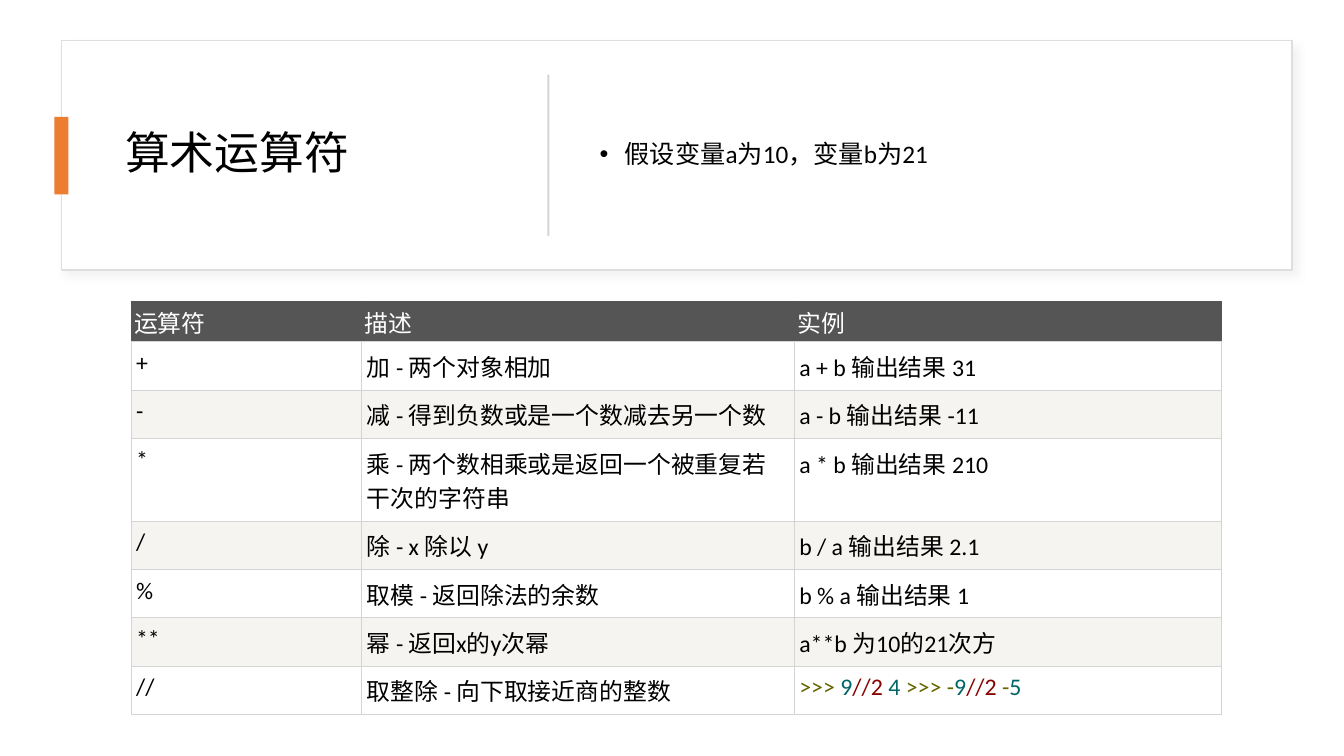
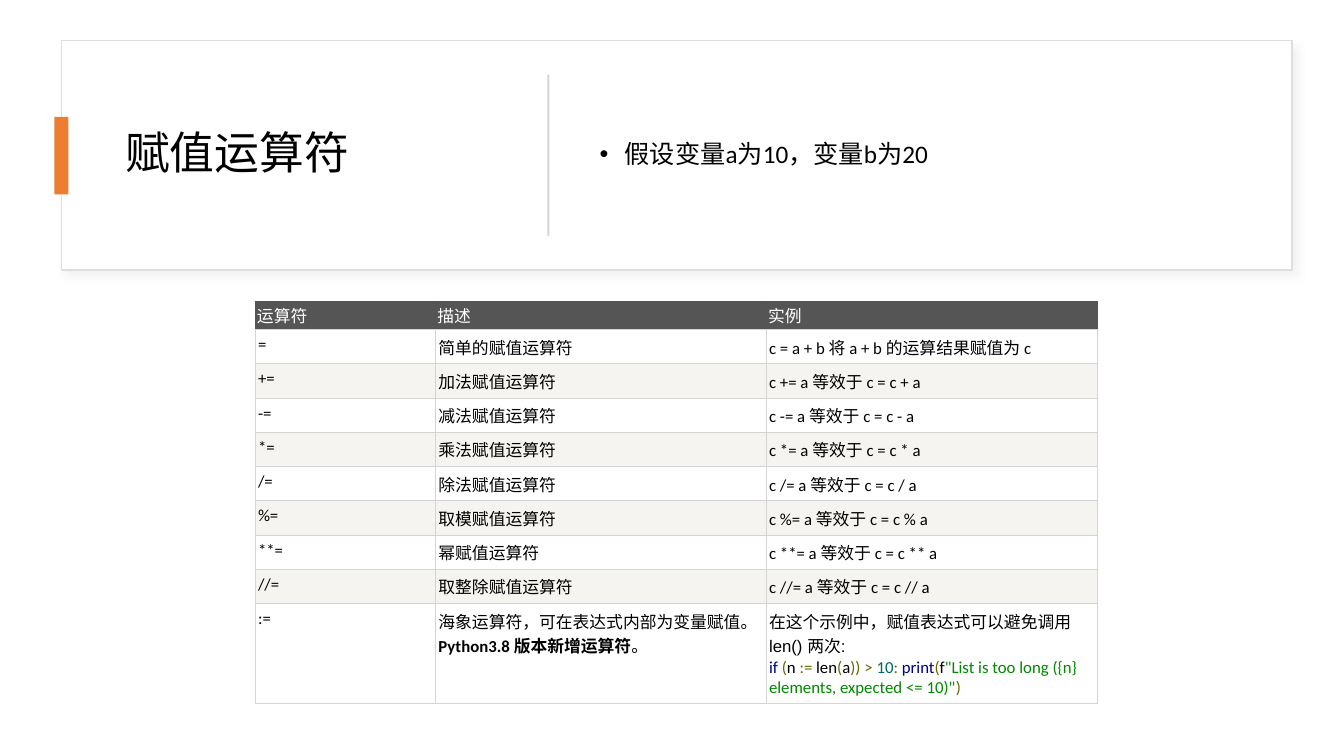
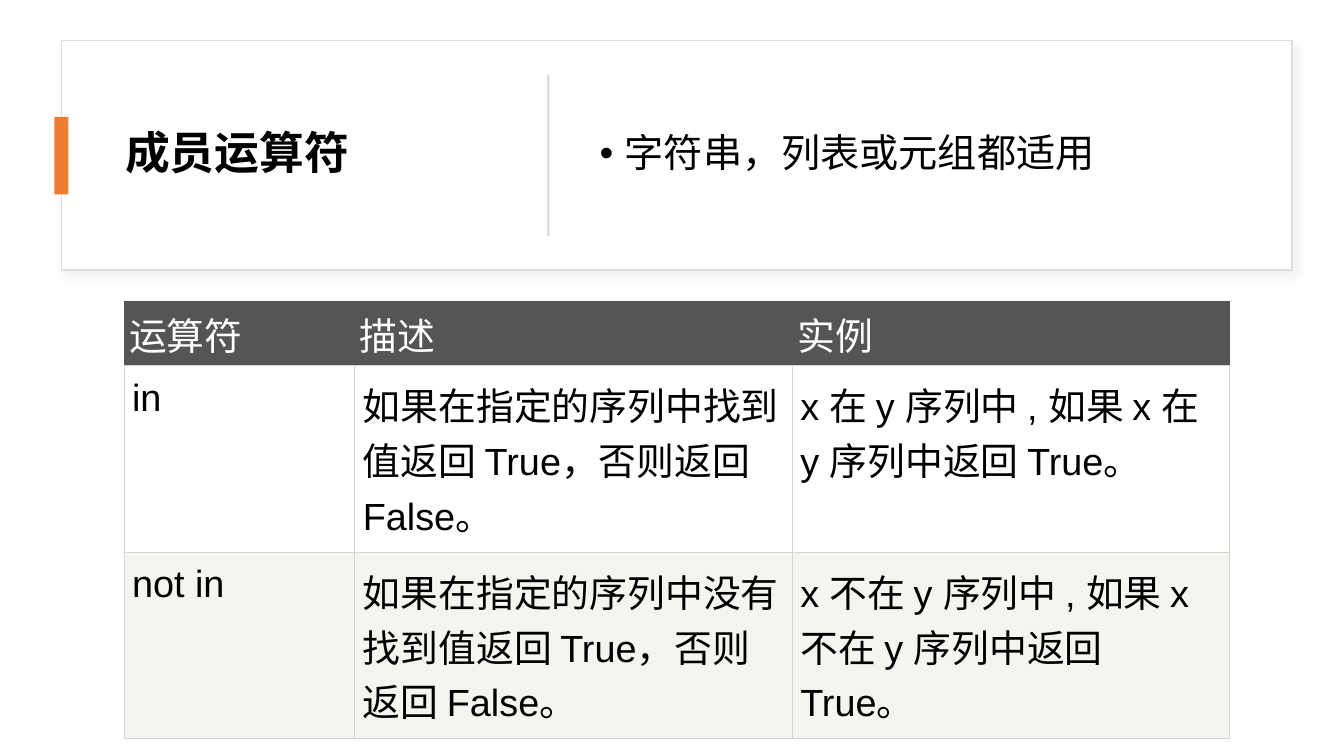
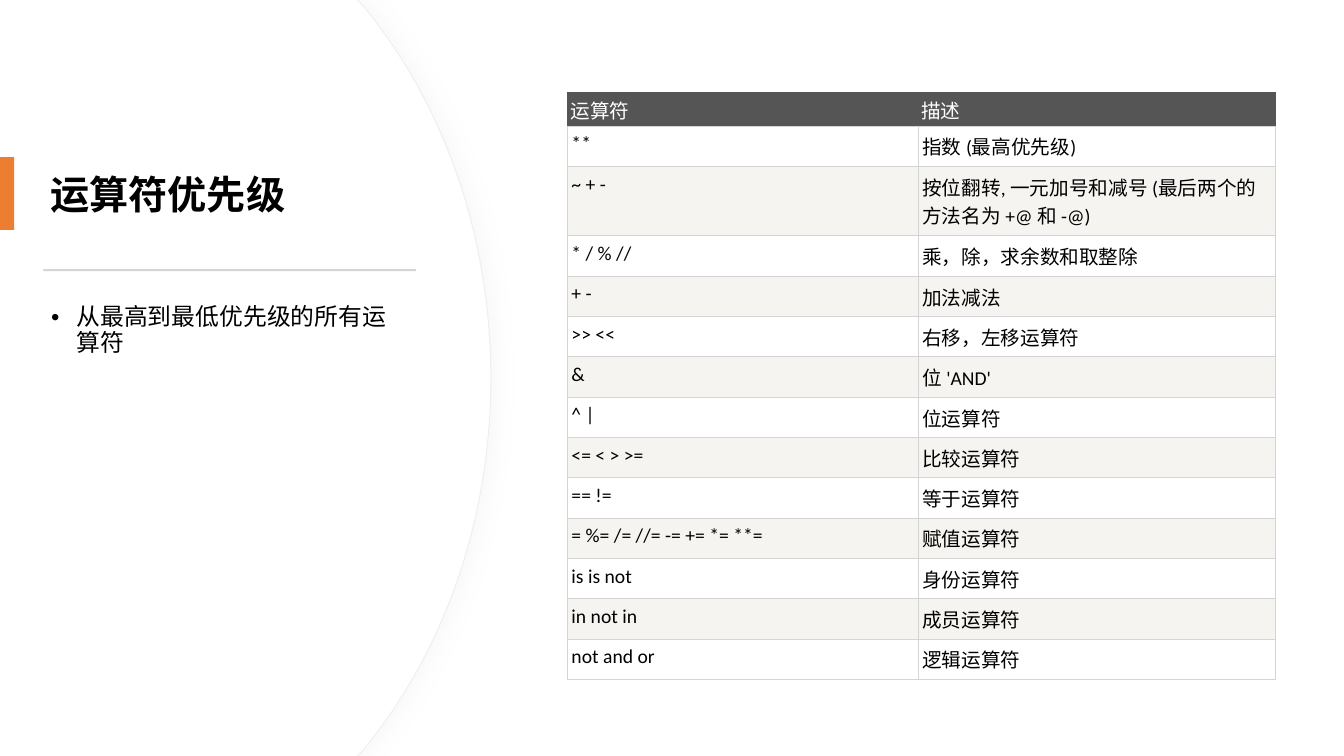
from typing import NamedTuple

from lxml import etree
from pptx import Presentation
from pptx.dml.color import RGBColor
from pptx.enum import lang, shapes, text
from pptx.oxml.ns import qn
from pptx.util import Inches, Pt

# Colours
WHITE = RGBColor(0xFF, 0xFF, 0xFF)
BLACK = RGBColor(0x00, 0x00, 0x00)
ORANGE = RGBColor(0xED, 0x7D, 0x31)
RULE = RGBColor(0xD5, 0xD5, 0xD5)
PANEL_LINE = RGBColor(0xDE, 0xDE, 0xDE)
PANEL_SHADOW = RGBColor(0xC5, 0xC3, 0xC3)
ARC_LINE = RGBColor(0xEF, 0xEF, 0xEF)
ARC_SHADOW = RGBColor(0xD9, 0xD9, 0xD9)
HEADER = RGBColor(0x55, 0x55, 0x55)
GRID = RGBColor(0xD4, 0xD4, 0xD4)
BAND = RGBColor(0xF6, 0xF4, 0xF0)

# Code colours
OLIVE = RGBColor(0x66, 0x66, 0x00)
TEAL = RGBColor(0x00, 0x66, 0x66)
MAROON = RGBColor(0x88, 0x00, 0x00)
NAVY = RGBColor(0x00, 0x00, 0x88)
GREEN = RGBColor(0x00, 0x88, 0x00)


class Run(NamedTuple):
    text: str
    color: RGBColor = BLACK
    bold: bool = False
    font: str = ""


class Deck:
    FONT = "Calibri"

    def __init__(self):
        self.presentation = Presentation()
        self.presentation.slide_width = Inches(40 / 3)
        self.presentation.slide_height = Inches(7.5)
        self.slide = None

    def new_slide(self):
        layout = self.presentation.slide_layouts[5]
        self.slide = self.presentation.slides.add_slide(layout)

    # Text
    def format_run(self, run, size, color=BLACK, bold=False, font=""):
        run.font.name = font or self.FONT
        run.font.size = Pt(size)
        run.font.bold = bold
        run.font.color.rgb = color
        run.font.language_id = lang.MSO_LANGUAGE_ID.SIMPLIFIED_CHINESE

    def title(self, words, box, size=32, bold=False):
        title = self.slide.shapes.title
        title.left, title.top, title.width, title.height = map(Inches, box)
        # Bring the title in front of the panel behind it
        title._element.getparent().append(title._element)
        frame = title.text_frame
        frame.text = words
        frame.word_wrap = True
        frame.auto_size = text.MSO_AUTO_SIZE.NONE
        frame.vertical_anchor = text.MSO_ANCHOR.MIDDLE
        paragraph = frame.paragraphs[0]
        paragraph.alignment = text.PP_ALIGN.LEFT
        paragraph.line_spacing = 0.9
        self.format_run(paragraph.runs[0], size, bold=bold)

    def bullet(self, words, box, size, anchor):
        frame = self.slide.shapes.add_textbox(*map(Inches, box)).text_frame
        frame.text = words
        frame.word_wrap = True
        frame.vertical_anchor = anchor
        paragraph = frame.paragraphs[0]
        paragraph.line_spacing = 0.9
        paragraph.space_before = Pt(10)
        self.format_run(paragraph.runs[0], size)
        properties = paragraph._p.get_or_add_pPr()
        properties.set("marL", str(Inches(0.25)))
        properties.set("indent", str(-Inches(0.25)))
        etree.SubElement(properties, qn("a:buFont"), typeface="Arial")
        etree.SubElement(properties, qn("a:buChar"), char="•")

    # Shapes
    def paint(self, shape, fill, line=None, width=1):
        shape.shadow.inherit = False
        shape.fill.solid()
        shape.fill.fore_color.rgb = fill
        if line is None:
            shape.line.fill.background()
        else:
            shape.line.color.rgb = line
            shape.line.width = Pt(width)

    def rectangle(self, box, fill, line=None):
        shape = self.slide.shapes.add_shape(
            shapes.MSO_SHAPE.RECTANGLE, *map(Inches, box))
        self.paint(shape, fill, line)
        return shape

    def shadow(self, shape, color, blur, distance, angle):
        effects = shape._element.spPr.find(qn("a:effectLst"))
        outer = etree.SubElement(
            effects, qn("a:outerShdw"), blurRad=str(Pt(blur)),
            dist=str(Pt(distance)), dir=str(angle * 60000),
            algn="tl", rotWithShape="0")
        tint = etree.SubElement(outer, qn("a:srgbClr"), val=str(color))
        etree.SubElement(tint, qn("a:alpha"), val="20000")

    def arc_panel(self, right, line=None):
        """Panel from the left edge whose right side is a bulging curve."""
        corner, shoulder, bend = right - 1.32, right - 1.25, right - 0.48
        outline = [(corner, 0), (shoulder, 0.08), (right, 3.75),
                   (shoulder, 7.42), (corner, 7.5), (0, 7.5)]
        builder = self.slide.shapes.build_freeform(0, 0)
        builder.add_line_segments(
            [(Inches(x), Inches(y)) for x, y in outline], close=True)
        shape = builder.convert_to_shape()
        # Turn the two long segments into curves
        segments = list(shape._element.iter(qn("a:lnTo")))
        handles = {2: [(bend, 1.02), (right, 2.32)],
                   3: [(right, 5.18), (bend, 6.48)]}
        for index, controls in handles.items():
            segment = segments[index]
            segment.tag = qn("a:cubicBezTo")
            for position, (x, y) in enumerate(controls):
                point = etree.Element(
                    qn("a:pt"), x=str(Inches(x)), y=str(Inches(y)))
                segment.insert(position, point)
        self.paint(shape, WHITE, line, 0.75)
        return shape

    # Headings
    def top_heading(self, words, note, note_size=18, bold=False):
        panel = self.rectangle((0.61, 0.4, 12.21, 2.28), WHITE, PANEL_LINE)
        self.shadow(panel, PANEL_SHADOW, 6, 4, 45)
        self.title(words, (1.14, 0.64, 3.89, 1.8), bold=bold)
        self.rectangle((0.54, 1.16, 0.14, 0.77), ORANGE)
        self.rectangle((5.43, 0.74, 0.02, 1.6), RULE)
        self.bullet(note, (5.85, 0.64, 6.56, 1.8), note_size,
                    text.MSO_ANCHOR.MIDDLE)

    def side_heading(self, words, note):
        edge = self.arc_panel(4.87, ARC_LINE)
        self.shadow(edge, ARC_SHADOW, 14, 3, 0)
        self.arc_panel(4.86)
        self.title(words, (0.4, 1.28, 3.76, 1.35), size=28, bold=True)
        self.rectangle((0, 1.56, 0.14, 0.72), ORANGE)
        self.rectangle((0.43, 2.67, 3.7, 0.02), RULE)
        self.bullet(note, (0.41, 2.98, 3.7, 3.51), 17, text.MSO_ANCHOR.TOP)

    # Tables
    def borders(self, cell, side, bottom):
        properties = cell._tc.get_or_add_tcPr()
        for name, color in (("a:lnL", side), ("a:lnR", side),
                            ("a:lnT", side), ("a:lnB", bottom)):
            line = etree.SubElement(properties, qn(name), w=str(Pt(0.75)))
            fill = etree.SubElement(line, qn("a:solidFill"))
            etree.SubElement(fill, qn("a:srgbClr"), val=str(color))

    def fill_cell(self, cell, content, size, color, font):
        """Content is a string, or a list of paragraphs made of runs."""
        if isinstance(content, str):
            content = [[Run(content, color)]]
        frame = cell.text_frame
        for index, pieces in enumerate(content):
            paragraph = frame.paragraphs[0] if index == 0 else frame.add_paragraph()
            for piece in pieces:
                run = paragraph.add_run()
                run.text = piece.text
                self.format_run(run, size, piece.color, piece.bold,
                                piece.font or font)

    def table(self, corner, widths, heights, rows, size,
              header_inset, inset, font=""):
        frame = self.slide.shapes.add_table(
            len(rows), len(widths), *map(Inches, corner),
            Inches(sum(widths)), Inches(sum(heights)))
        table = frame.table
        table.horz_banding = False
        for column, width in zip(table.columns, widths):
            column.width = Inches(width)
        for number, (row, height, contents) in enumerate(
                zip(table.rows, heights, rows)):
            row.height = Inches(height)
            header = number == 0
            across, down = (header_inset, header_inset) if header else inset
            fill = HEADER if header else (BAND if number % 2 == 0 else WHITE)
            for cell, content in zip(row.cells, contents):
                cell.margin_left = cell.margin_right = Inches(across)
                cell.margin_top = cell.margin_bottom = Inches(down)
                self.borders(cell, HEADER if header else GRID, GRID)
                cell.fill.solid()
                cell.fill.fore_color.rgb = fill
                self.fill_cell(cell, content, size,
                               WHITE if header else BLACK, font)


COLUMNS = ("运算符", "描述", "实例")

# Table contents
FLOOR_DIVISION = [[
    Run(">>> ", OLIVE), Run("9", TEAL), Run("//2 ", MAROON), Run("4 ", TEAL),
    Run(">>> -", OLIVE), Run("9", TEAL), Run("//2 ", MAROON),
    Run("-", OLIVE), Run("5", TEAL),
]]
ARITHMETIC = [
    COLUMNS,
    ("+", "加 - 两个对象相加", "a + b 输出结果 31"),
    ("-", "减 - 得到负数或是一个数减去另一个数", "a - b 输出结果 -11"),
    ("*", "乘 - 两个数相乘或是返回一个被重复若干次的字符串", "a * b 输出结果 210"),
    ("/", "除 - x 除以 y", "b / a 输出结果 2.1"),
    ("%", "取模 - 返回除法的余数", "b % a 输出结果 1"),
    ("**", "幂 - 返回x的y次幂", "a**b 为10的21次方"),
    ("//", "取整除 - 向下取接近商的整数", FLOOR_DIVISION),
]

WALRUS = [[
    Run("海象运算符，可在表达式内部为变量赋值。"),
    Run("Python3.8 版本新增运算符", bold=True), Run("。"),
]]
WALRUS_EXAMPLE = [
    [Run("在这个示例中，赋值表达式可以避免调用 len() 两次:", font="Arial")],
    [Run("if ", NAVY), Run("(", OLIVE), Run("n "), Run(":=", OLIVE),
     Run(" len"), Run("(", OLIVE), Run("a"), Run(")) > ", OLIVE),
     Run("10", TEAL), Run(": ", OLIVE), Run("print", NAVY), Run("(", OLIVE),
     Run("f"), Run('"List is too long ({n} elements, expected <= 10)"', GREEN),
     Run(")", OLIVE)],
]
COMPOUND = [("+", "加法"), ("-", "减法"), ("*", "乘法"), ("/", "除法"),
            ("%", "取模"), ("**", "幂"), ("//", "取整除")]
ASSIGNMENT = [
    COLUMNS,
    ("=", "简单的赋值运算符", "c = a + b 将 a + b 的运算结果赋值为 c"),
    *((f"{sign}=", f"{name}赋值运算符", f"c {sign}= a 等效于 c = c {sign} a")
      for sign, name in COMPOUND),
    (":=", WALRUS, WALRUS_EXAMPLE),
]

MEMBERSHIP = [
    COLUMNS,
    ("in", "如果在指定的序列中找到值返回 True，否则返回 False。",
     "x 在 y 序列中 , 如果 x 在 y 序列中返回 True。"),
    ("not in", "如果在指定的序列中没有找到值返回 True，否则返回 False。",
     "x 不在 y 序列中 , 如果 x 不在 y 序列中返回 True。"),
]

PRECEDENCE = [
    COLUMNS[:2],
    ("**", "指数 (最高优先级)"),
    ("~ + -", "按位翻转, 一元加号和减号 (最后两个的方法名为 +@ 和 -@)"),
    ("* / % //", "乘，除，求余数和取整除"),
    ("+ -", "加法减法"),
    (">> <<", "右移，左移运算符"),
    ("&", "位 'AND'"),
    ("^ |", "位运算符"),
    ("<= < > >=", "比较运算符"),
    ("== !=", "等于运算符"),
    ("= %= /= //= -= += *= **=", "赋值运算符"),
    ("is is not", "身份运算符"),
    ("in not in", "成员运算符"),
    ("not and or", "逻辑运算符"),
]


def main():
    deck = Deck()

    # Arithmetic operators
    deck.new_slide()
    deck.top_heading("算术运算符", "假设变量a为10，变量b为21")
    deck.table((1.3, 2.99), (2.29, 4.29, 4.24),
               [0.4, 0.48, 0.48, 0.82] + [0.48] * 4,
               ARITHMETIC, 17, 0.03, (0.05, 0.07))

    # Assignment operators
    deck.new_slide()
    deck.top_heading("赋值运算符", "假设变量a为10，变量b为20")
    deck.table((2.53, 2.99), (1.79, 3.28, 3.29),
               [0.28] + [0.34] * 8 + [0.99],
               ASSIGNMENT, 12, 0.02, (0.03, 0.05))

    # Membership operators
    deck.new_slide()
    deck.top_heading("成员运算符", "字符串，列表或元组都适用", 28, bold=True)
    deck.table((1.23, 2.99), (2.29, 4.34, 4.34), [0.64, 1.85, 1.85],
               MEMBERSHIP, 27, 0.05, (0.08, 0.11), "Arial")

    # Operator precedence
    deck.new_slide()
    deck.side_heading("运算符优先级", "从最高到最低优先级的所有运算符")
    deck.table((5.63, 0.92), (3.48, 3.54),
               [0.33, 0.4, 0.69] + [0.4] * 11,
               PRECEDENCE, 14, 0.03, (0.04, 0.06))

    deck.presentation.save("out.pptx")


if __name__ == "__main__":
    main()
